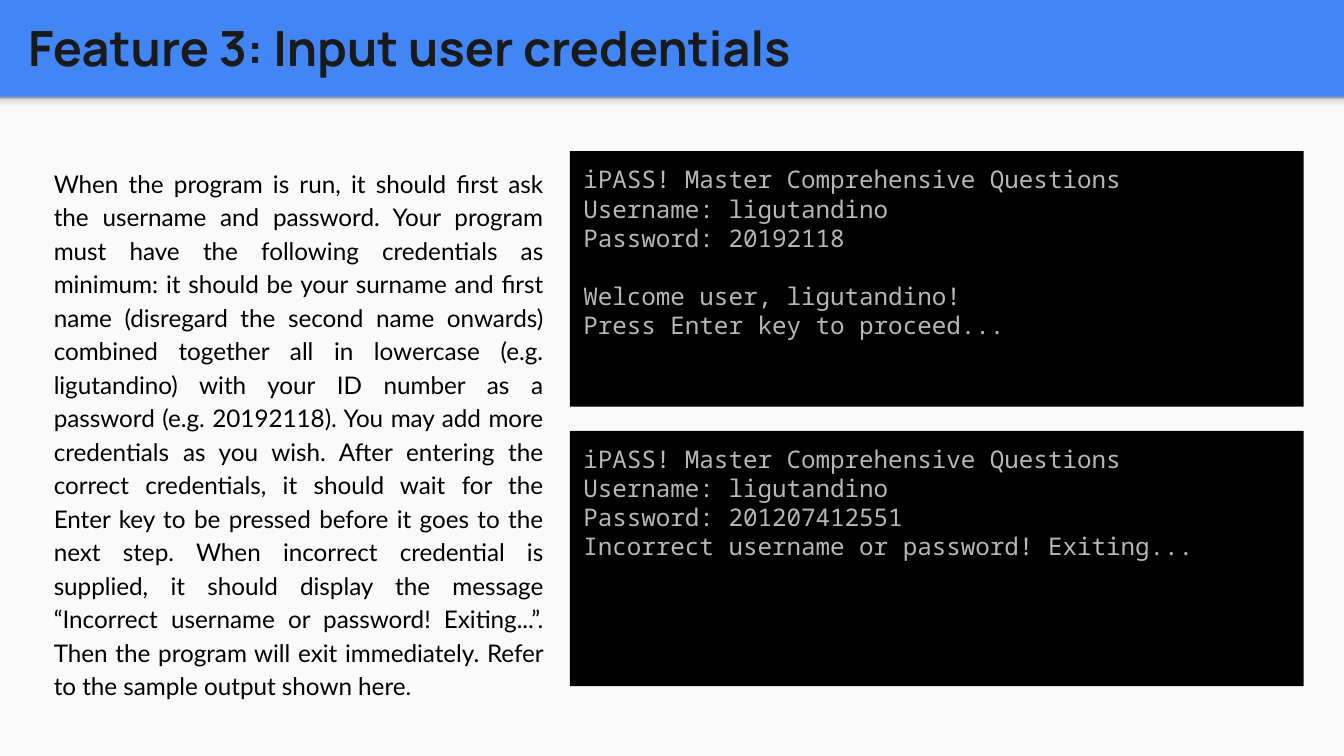
from pptx import Presentation
from pptx.dml.color import RGBColor
from pptx.enum.shapes import MSO_SHAPE
from pptx.enum.text import MSO_ANCHOR, MSO_AUTO_SIZE, PP_ALIGN
from pptx.oxml import parse_xml
from pptx.oxml.ns import nsdecls
from pptx.util import Inches, Pt

TITLE = "Feature 3: Input user credentials"
PROSE = (
    "When the program is run, it should first ask the username and password. "
    "Your program must have the following credentials as minimum: it should be "
    "your surname and first name (disregard the second name onwards) combined "
    "together all in lowercase (e.g. ligutandino) with your ID number as a "
    "password (e.g. 20192118). You may add more credentials as you wish. After "
    "entering the correct credentials, it should wait for the Enter key to be "
    "pressed before it goes to the next step. When incorrect credential is "
    "supplied, it should display the message “Incorrect username or password! "
    "Exiting...”. Then the program will exit immediately. Refer to the sample "
    "output shown here."
)
HEAD = ["iPASS! Master Comprehensive Questions", "Username: ligutandino"]
RUNS = [
    HEAD + ["Password: 20192118", "Welcome user, ligutandino!",
            "Press Enter key to proceed..."],
    HEAD + ["Password: 201207412551", "Incorrect username or password! Exiting..."],
]
GAPS = {"Welcome user, ligutandino!": 15.7}
STOPS = [(0, "F9F9F9"), (36, "F9F9F9"), (80, "DEDEDE"), (100, "999999")]

WIDE = 10
HIGH = WIDE * 9 / 16
BAR = 0.72
TOP, LEFT, STEP = HIGH / 5, 4.24, 2.08
FRAME = {"word_wrap": True, "auto_size": MSO_AUTO_SIZE.NONE,
         **{"margin_" + side: Inches(0.1)
            for side in ("left", "top", "right", "bottom")}}
PLAIN = {"alignment": PP_ALIGN.LEFT, "line_spacing": 1.0,
         "space_before": Pt(0), "space_after": Pt(0)}
BLOCK = {**PLAIN, "alignment": PP_ALIGN.JUSTIFY, "line_spacing": 1.15,
         "space_after": Pt(16)}


def put(item, values):
    for name, value in values.items():
        setattr(item, name, value)


def tint(color, code):
    color.rgb = RGBColor.from_string(code)


def paint(fill, code):
    fill.solid()
    tint(fill.fore_color, code)


def place(item, box):
    put(item, dict(zip(("left", "top", "width", "height"), map(Inches, box))))


def write(item, box, lines, font, code, form, anchor=MSO_ANCHOR.TOP):
    place(item, box)
    frame = item.text_frame
    put(frame, {**FRAME, "vertical_anchor": anchor})
    frame.text = "\n".join(lines)
    for para in frame.paragraphs:
        put(para, form)
        if para.text in GAPS:
            para.space_before = Pt(GAPS[para.text])
        props = para._p.get_or_add_pPr()
        for name in ("marL", "indent"):
            props.set(name, "0")
        props.append(parse_xml(f"<a:buNone {nsdecls('a')}/>"))
        put(para.runs[0].font, font)
        tint(para.runs[0].font.color, code)


def panel(slide, box, order):
    item = slide.shapes.add_shape(MSO_SHAPE.RECTANGLE, *map(Inches, box))
    item.shadow.inherit = False
    item.line.fill.background()
    slide.shapes._spTree.insert(order, item._element)
    return item


def shade(fill):
    fill.gradient()
    fill.gradient_angle = 90
    stops = fill._fill._gradFill.gsLst
    for stop in list(stops):
        stops.remove(stop)
    for spot, code in STOPS:
        stops.append(parse_xml(
            f'<a:gs {nsdecls("a")} pos="{spot * 1000}">'
            f'<a:srgbClr val="{code}"/></a:gs>'))


def main():
    deck = Presentation()
    put(deck, {"slide_width": Inches(WIDE), "slide_height": Inches(HIGH)})
    slide = deck.slides.add_slide(deck.slide_layouts[4])
    paint(slide.background.fill, "4285F4")
    paint(panel(slide, (0, BAR, WIDE, HIGH - BAR), 2).fill, "FAFAFA")
    shade(panel(slide, (0, BAR, WIDE, 0.12), 3).fill)

    title, prose, *shells, spare = [
        item for item in slide.placeholders
        if item.placeholder_format.idx < 5]
    spare._element.getparent().remove(spare._element)
    write(title, (0.11, 0.02, 9.65, 0.66), [TITLE],
          {"name": "Manrope", "size": Pt(26), "bold": True},
          "1A1A1A", PLAIN, MSO_ANCHOR.MIDDLE)
    write(prose, (0.3, TOP, 3.84, 4.35), [PROSE],
          {"name": "Lato", "size": Pt(13), "bold": False}, "000000", BLOCK)
    for row, (shell, lines) in enumerate(zip(shells, RUNS)):
        write(shell, (LEFT, TOP + row * STEP, 5.46, 1.9), lines,
              {"name": "Noto Sans Mono", "size": Pt(13), "bold": False},
              "B7B7B7", PLAIN)
        paint(shell.fill, "000000")
    deck.save("out.pptx")


if __name__ == "__main__":
    main()
